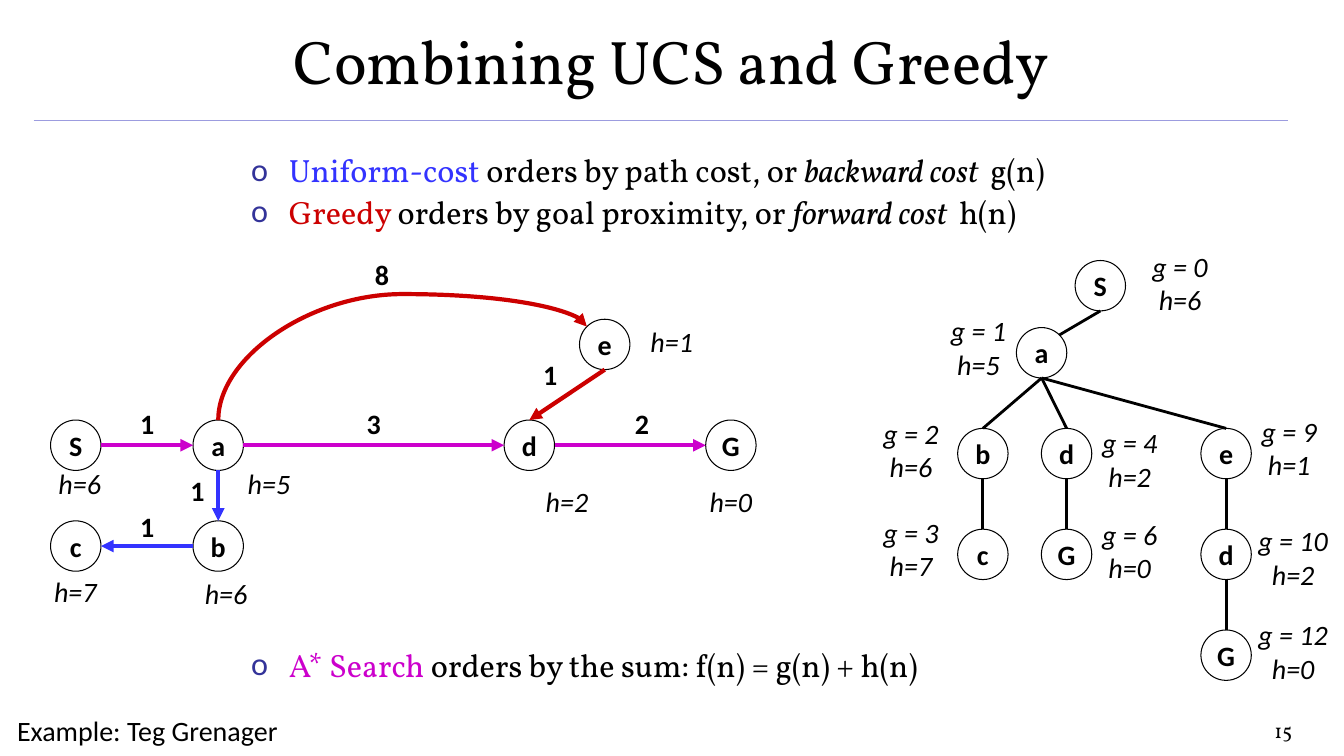
import pptx
import pptx.util
import pptx.dml.color
import pptx.enum.shapes
import pptx.enum.text
import pptx.oxml
import pptx.oxml.ns
from dataclasses import dataclass

Cm = pptx.util.Cm
Pt = pptx.util.Pt
Kind = pptx.enum.shapes.MSO_CONNECTOR
Align = pptx.enum.text.PP_ALIGN
Anchor = pptx.enum.text.MSO_ANCHOR


@dataclass(frozen=True)
class Theme:
    ink: str = "000000"
    paper: str = "FFFFFF"
    rule: str = "9C9CDF"
    mark: str = "333399"
    blue: str = "3333FF"
    red: str = "CC0000"
    pink: str = "CC00CC"
    serif: str = "Vollkorn"
    sans: str = "Calibri"
    head: float = 44
    body: float = 23
    note: float = 20
    page: float = 14.7


T = Theme()

TITLE = "Combining UCS and Greedy"
CREDIT = "Example: Teg Grenager"
PAGE = "15"

# style: "" plain, "i" italic
POINTS = [
    (3.81, [
        [("Uniform-cost ", T.blue, ""), ("orders by path cost, or ", T.ink, ""),
         ("backward cost  ", T.ink, "i"), ("g(n)", T.ink, "")],
        [("Greedy ", T.red, ""), ("orders by goal proximity, or ", T.ink, ""),
         ("forward cost  ", T.ink, "i"), ("h(n)", T.ink, "")],
    ]),
    (16.26, [
        [("A* Search", T.pink, ""),
         (" orders by the sum: f(n) = g(n) + h(n)", T.ink, "")],
    ]),
]

GRAPH = {
    "S": ("S", 1.91, 11.22), "a": ("a", 5.5, 11.22), "d": ("d", 13.34, 11.22),
    "G": ("G", 18.42, 11.22), "b": ("b", 5.5, 13.76), "c": ("c", 1.91, 13.76),
    "e": ("e", 15.24, 8.68),
}
TREE = {
    "S": ("S", 27.73, 7.2), "a": ("a", 26.25, 8.89), "b": ("b", 24.77, 11.43),
    "c": ("c", 24.77, 13.97), "d": ("d", 26.88, 11.43), "G": ("G", 26.88, 13.97),
    "e": ("e", 30.9, 11.43), "ed": ("d", 30.9, 13.97), "eG": ("G", 30.9, 16.51),
}
STEPS = [
    ("a", "b", "bottom", "top", T.blue), ("b", "c", "left", "right", T.blue),
    ("e", "d", "bottom", "top", T.red), ("d", "G", "right", "left", T.pink),
    ("S", "a", "right", "left", T.pink), ("a", "d", "right", "left", T.pink),
]
LINKS = [
    ("S", "a", "corner"), ("a", "b", "top"), ("a", "d", "top"), ("a", "e", "top"),
    ("b", "c", "top"), ("d", "G", "top"), ("e", "ed", "top"), ("ed", "eG", "top"),
]
COSTS = [
    ("1", 3.71, 10.11), ("8", 9.63, 6.35), ("1", 3.71, 12.7), ("1", 4.98, 11.81),
    ("2", 16.18, 10.11), ("3", 9.42, 10.11), ("1", 13.87, 8.89),
]
GUESSES = [
    ("h=5", 6.78, 11.63), ("h=6", 5.7, 14.4), ("h=2", 14.29, 12.07),
    ("h=6", 2.01, 11.63), ("h=0", 18.42, 12.07), ("h=7", 1.9, 14.35),
    ("h=1", 16.93, 8.05),
    ("g = 0 h=6", 29.74, 6.15), ("g = 1 h=5", 24.66, 7.77),
    ("g = 2 h=6", 22.96, 10.36), ("g = 3 h=7", 22.96, 12.85),
    ("g = 4 h=2", 28.47, 10.59), ("g = 6 h=0", 28.47, 12.9),
    ("g = 9 h=1", 32.49, 10.31), ("g = 10 h=2", 32.59, 13.06),
    ("g = 12 h=0", 32.59, 15.44),
]

WIDE, HIGH = 33.87, 19.05
NODE = 1.27
HALF = NODE / 2
DIAG = HALF * 0.71
SIDES = {
    "left": (-HALF, 0), "right": (HALF, 0), "top": (0, -HALF), "bottom": (0, HALF),
    "corner": (DIAG, -DIAG), "nook": (-DIAG, -DIAG),
}


def tint(code):
    return pptx.dml.color.RGBColor.from_string(code)


def node(xml):
    return pptx.oxml.parse_xml(xml.replace(" ", " " + pptx.oxml.ns.nsdecls("a") + " ", 1))


def say(para, text, size, face, color=T.ink, style=""):
    run = para.add_run()
    run.text = text
    font = run.font
    font.size, font.name = Pt(size), face
    font.bold, font.italic = "b" in style, "i" in style
    font.color.rgb = tint(color)


def box(left, top, wide, high, pad=(0.25, 0.13)):
    frame = slide.shapes.add_textbox(Cm(left), Cm(top), Cm(wide), Cm(high)).text_frame
    frame.word_wrap = True
    frame.margin_left = frame.margin_right = Cm(pad[0])
    frame.margin_top = frame.margin_bottom = Cm(pad[1])
    return frame


def label(text, mid, top, style):
    wide = 2.54
    para = box(mid - wide / 2, top, wide, 1.09).paragraphs[0]
    para.alignment = Align.CENTER
    say(para, text, T.note, T.sans, style=style)


def disc(text, x, y):
    shape = slide.shapes.add_shape(
        pptx.enum.shapes.MSO_SHAPE.OVAL, Cm(x - HALF), Cm(y - HALF), Cm(NODE), Cm(NODE))
    shape.shadow.inherit = False
    shape.fill.solid()
    shape.fill.fore_color.rgb = tint(T.paper)
    shape.line.color.rgb = tint(T.ink)
    shape.line.width = Pt(0.75)
    frame = shape.text_frame
    frame.word_wrap = False
    frame.vertical_anchor = Anchor.MIDDLE
    para = frame.paragraphs[0]
    para.alignment = Align.CENTER
    say(para, text, T.note, T.sans, style="b")


def port(nodes, key, side):
    name, x, y = nodes[key]
    dx, dy = SIDES[side]
    return x + dx, y + dy


def line(start, end, color, width, arrow=False, kind=Kind.STRAIGHT):
    wire = slide.shapes.add_connector(kind, *[Cm(v) for v in (*start, *end)])
    wire.line.color.rgb = tint(color)
    wire.line.width = Pt(width)
    if arrow:
        wire.line._get_or_add_ln().append(node('<a:tailEnd type="triangle"/>'))
    wire._element.spPr.append(node("<a:effectLst />"))
    return wire


def arc(start, end, color, width, bend):
    midx, midy = (start[0] + end[0]) / 2, (start[1] + end[1]) / 2
    dx, dy = (end[0] - start[0]) / 2, (start[1] - end[1]) / 2
    wire = line((midx - dy, midy - dx), (midx + dy, midy + dx), color, width, True, Kind.CURVE)
    props = wire._element.spPr
    props.xfrm.set("rot", str(270 * 60000))
    guides = props.find(pptx.oxml.ns.qn("a:prstGeom")).get_or_add_avLst()
    guides.append(node(f'<a:gd name="adj1" fmla="val {bend}"/>'))


def bullet(para):
    props = para._p.get_or_add_pPr()
    props.set("marL", str(Cm(0.95)))
    props.set("indent", str(-Cm(0.95)))
    for xml in (f'<a:buClr ><a:srgbClr val="{T.mark}"/></a:buClr>',
                f'<a:buFont typeface="{T.sans}"/>', '<a:buChar char="o"/>'):
        props.append(node(xml))


deck = pptx.Presentation()
deck.slide_width, deck.slide_height = Cm(WIDE), Cm(HIGH)
slide = deck.slides.add_slide(deck.slide_layouts[5])

title = slide.shapes.title
title.left, title.top, title.width, title.height = Cm(0), Cm(-0.08), Cm(WIDE), Cm(3.18)
title.text_frame.vertical_anchor = Anchor.MIDDLE
para = title.text_frame.paragraphs[0]
para.alignment = Align.CENTER
say(para, TITLE, T.head, T.serif)
line((0.85, 3.03), (32.47, 3.03), T.rule, 1)

for top, rows in POINTS:
    frame = box(6.15, top, 22.86, 1.1 * len(rows), (0.18, 0.1))
    for i, row in enumerate(rows):
        para = frame.add_paragraph() if i else frame.paragraphs[0]
        para.line_spacing = 0.9
        para.space_before = Pt(4.6 if i else 0)
        bullet(para)
        for text, color, style in row:
            say(para, text, T.body, T.serif, color, style)

for name, x, y in [*GRAPH.values(), *TREE.values()]:
    disc(name, x, y)
for start, end, out, into, color in STEPS:
    line(port(GRAPH, start, out), port(GRAPH, end, into), color, 3, True)
arc(port(GRAPH, "a", "top"), port(GRAPH, "e", "nook"), T.red, 3, 134800)
for start, end, into in LINKS:
    line(port(TREE, start, "bottom"), port(TREE, end, into), T.ink, 2)

for cost in COSTS:
    label(*cost, "b")
for guess in GUESSES:
    label(*guess, "i")

say(box(0.18, 17.86, 7.82, 1.12).paragraphs[0], CREDIT, T.note, T.sans)
para = box(26.82, 17.98, 5.93, 0.81, (0.18, 0.1)).paragraphs[0]
para.alignment = Align.RIGHT
say(para, PAGE, T.page, T.serif)

deck.save("out.pptx")
